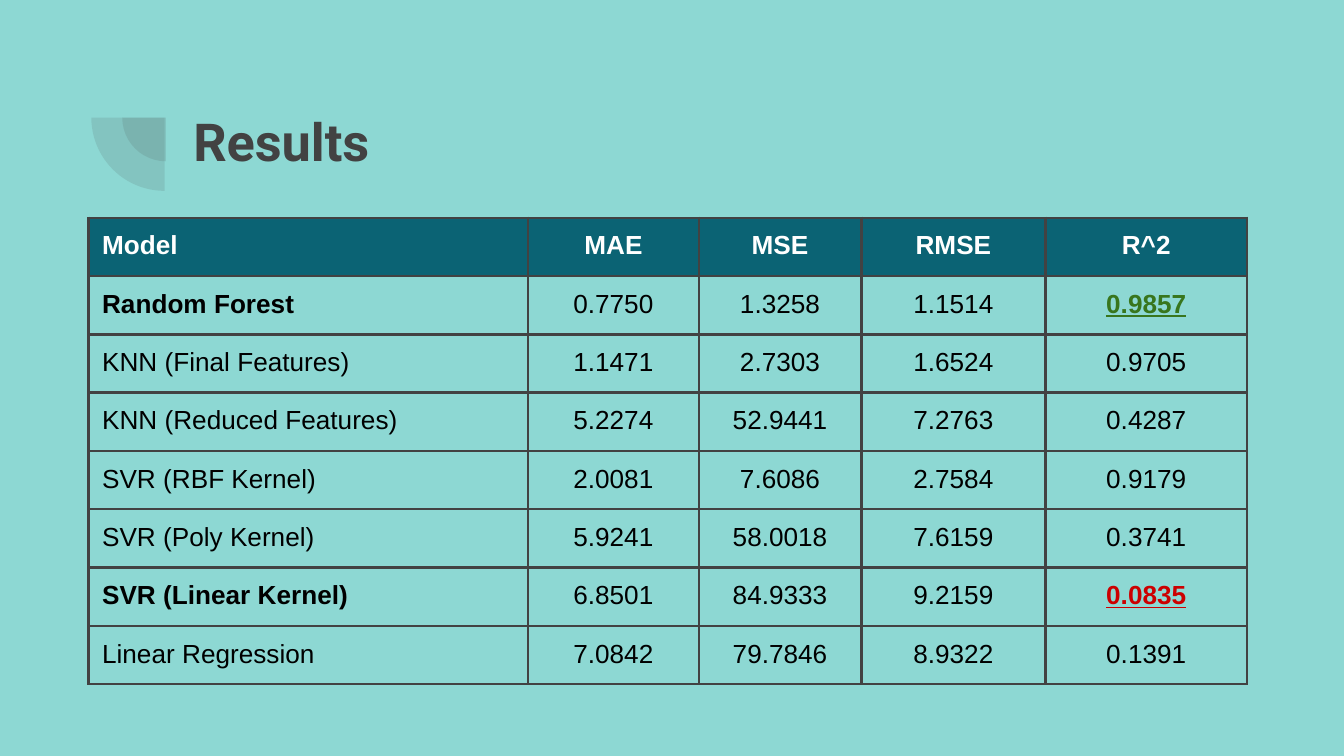
from lxml import etree
from pptx import Presentation
from pptx.dml.color import RGBColor
from pptx.enum.shapes import MSO_SHAPE
from pptx.enum.text import MSO_ANCHOR, PP_ALIGN
from pptx.oxml.ns import qn
from pptx.util import Inches, Pt

PIE = MSO_SHAPE.PIE
TOP = MSO_ANCHOR.TOP
LEFT, CENTER = PP_ALIGN.LEFT, PP_ALIGN.CENTER

BACKGROUND = "8DD8D3"
DARK = "424242"
HEADER = "0B6374"
WHITE, BLACK = "FFFFFF", "000000"
BEST, WORST = "38761D", "CC0000"

COLUMN_WIDTHS = [3.27, 1.27, 1.21, 1.37, 1.5]
RESULTS = [
    ["Model", "MAE", "MSE", "RMSE", "R^2"],
    ["Random Forest", "0.7750", "1.3258", "1.1514", "0.9857"],
    ["KNN (Final Features)", "1.1471", "2.7303", "1.6524", "0.9705"],
    ["KNN (Reduced Features)", "5.2274", "52.9441", "7.2763", "0.4287"],
    ["SVR (RBF Kernel)", "2.0081", "7.6086", "2.7584", "0.9179"],
    ["SVR (Poly Kernel)", "5.9241", "58.0018", "7.6159", "0.3741"],
    ["SVR (Linear Kernel)", "6.8501", "84.9333", "9.2159", "0.0835"],
    ["Linear Regression", "7.0842", "79.7846", "8.9322", "0.1391"],
]
HIGHLIGHTS = {"Random Forest": BEST, "SVR (Linear Kernel)": WORST}


def color(hex_string):
    return RGBColor.from_string(hex_string)


def format_runs(paragraph, font_name, size, hex_color, bold=False, underline=False):
    for run in paragraph.runs:
        font = run.font
        font.name = font_name
        font.size = Pt(size)
        font.color.rgb = color(hex_color)
        font.bold = bold
        font.underline = underline


def set_margins(target):
    target.margin_left = target.margin_right = Inches(0.1)
    target.margin_top = target.margin_bottom = Inches(0.1)


def add_quarter_circle(slide, left, top, diameter):
    shape = slide.shapes.add_shape(
        PIE, Inches(left), Inches(top), Inches(diameter), Inches(diameter))
    shape.adjustments[0] = 108  # 180 degrees
    shape.adjustments[1] = 162  # 270 degrees
    shape.rotation = 270
    shape.shadow.inherit = False
    shape.line.fill.background()
    shape.fill.solid()
    shape.fill.fore_color.rgb = color(DARK)
    fill_color = shape.fill._xPr.find(qn("a:solidFill"))[0]
    etree.SubElement(fill_color, qn("a:alpha"), val="13000")


def add_title(slide, text):
    box = slide.shapes.add_textbox(
        Inches(1.34), Inches(0.71), Inches(7.69), Inches(0.67))
    text_frame = box.text_frame
    text_frame.word_wrap = True
    text_frame.vertical_anchor = TOP
    set_margins(text_frame)
    text_frame.text = text
    format_runs(text_frame.paragraphs[0], "Roboto", 28, DARK, bold=True)


def set_borders(cell, hex_color, width):
    properties = cell._tc.get_or_add_tcPr()
    for side in ("lnL", "lnR", "lnT", "lnB"):
        line = etree.SubElement(properties, qn(f"a:{side}"), w=str(Pt(width)))
        fill = etree.SubElement(line, qn("a:solidFill"))
        etree.SubElement(fill, qn("a:srgbClr"), val=hex_color)


def fill_cell(cell, text, row, column, highlight):
    is_header = row == 0
    is_highlight = highlight is not None and column == len(COLUMN_WIDTHS) - 1
    is_bold_name = highlight is not None and column == 0

    set_margins(cell)
    cell.vertical_anchor = TOP
    set_borders(cell, DARK, 1.5)
    if is_header:
        cell.fill.solid()
        cell.fill.fore_color.rgb = color(HEADER)
    else:
        cell.fill.background()

    cell.text_frame.text = text
    paragraph = cell.text_frame.paragraphs[0]
    paragraph.alignment = LEFT if column == 0 else CENTER
    text_color = WHITE if is_header else highlight if is_highlight else BLACK
    format_runs(paragraph, "Arial", 14, text_color,
                bold=is_header or is_highlight or is_bold_name,
                underline=is_highlight)


def add_results_table(slide):
    table = slide.shapes.add_table(
        len(RESULTS), len(COLUMN_WIDTHS), Inches(0.66), Inches(1.62),
        Inches(sum(COLUMN_WIDTHS)), Inches(3.47)).table
    table.first_row = False
    table.horz_banding = False
    for column, width in zip(table.columns, COLUMN_WIDTHS):
        column.width = Inches(width)
    for row, values in enumerate(RESULTS):
        highlight = HIGHLIGHTS.get(values[0])
        for column, text in enumerate(values):
            fill_cell(table.cell(row, column), text, row, column, highlight)


def main():
    presentation = Presentation()
    # Widescreen, 16 to 9
    presentation.slide_width = Inches(10)
    presentation.slide_height = Inches(10) * 9 // 16
    slide = presentation.slides.add_slide(presentation.slide_layouts[6])
    slide.background.fill.solid()
    slide.background.fill.fore_color.rgb = color(BACKGROUND)

    # Corner ornament beside the title
    add_quarter_circle(slide, 0.91, 0.55, 0.65)
    add_quarter_circle(slide, 0.68, 0.33, 1.09)

    # Title and model scores
    add_title(slide, "Results")
    add_results_table(slide)

    presentation.save("out.pptx")


if __name__ == "__main__":
    main()
